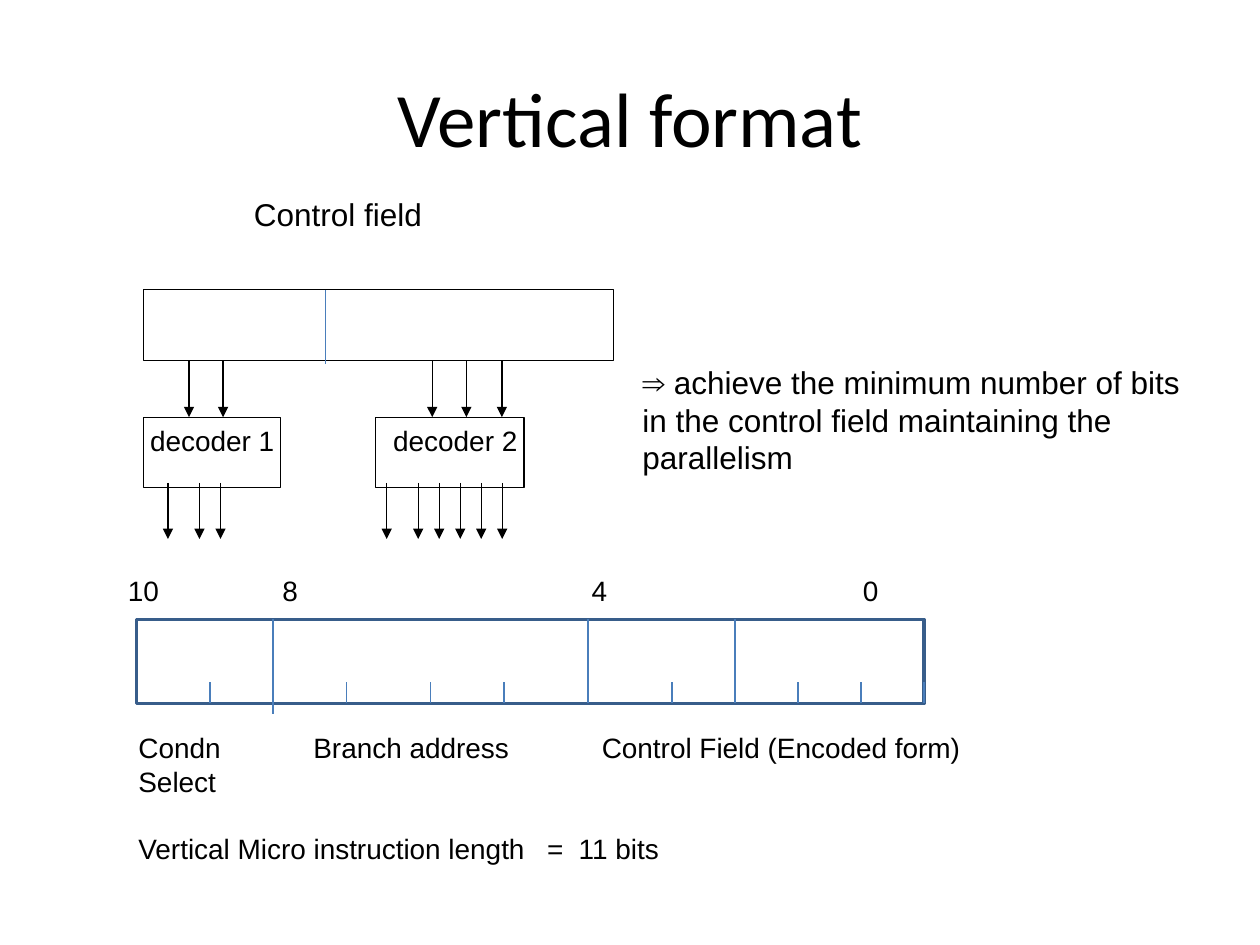
from lxml.etree import SubElement
from pptx import Presentation
from pptx.dml.color import RGBColor
from pptx.enum.shapes import MSO_CONNECTOR, MSO_SHAPE
from pptx.enum.text import MSO_ANCHOR, PP_ALIGN
from pptx.oxml.ns import qn
from pptx.util import Pt


def color(hex_string):
    return RGBColor.from_string(hex_string)


def add_line(x, top, bottom, line_color, arrow=False):
    connector = slide.shapes.add_connector(
        MSO_CONNECTOR.STRAIGHT, Pt(x), Pt(top), Pt(x), Pt(bottom))
    connector.line.color.rgb = color(line_color)
    connector.line.width = Pt(0.75)
    properties = connector._element.spPr
    if arrow:
        SubElement(properties.find(qn("a:ln")), qn("a:tailEnd"), type="triangle")
    SubElement(properties, qn("a:effectLst"))


BLACK, BLUE, DARK_BLUE = "000000", "4A7EBB", "385D8A"

presentation = Presentation()
presentation.slide_width, presentation.slide_height = Pt(720), Pt(540)
slide = presentation.slides.add_slide(presentation.slide_layouts[5])

title = slide.shapes.title
title.left, title.top, title.width, title.height = Pt(36), Pt(21.6), Pt(648), Pt(90)
title.text_frame.text = "Vertical format"
title.text_frame.vertical_anchor = MSO_ANCHOR.MIDDLE
paragraph = title.text_frame.paragraphs[0]
paragraph.alignment = PP_ALIGN.CENTER
paragraph.font.name, paragraph.font.size = "Calibri", Pt(44)
paragraph.font.color.rgb = color(BLACK)

for left, top, width, height, line_color, weight in [
    (82, 165.6, 268.5, 40.4, BLACK, 0.75),
    (82, 238.4, 78.5, 40.4, BLACK, 0.75),
    (214.5, 238.4, 85, 40.4, BLACK, 0.75),
    (78, 354, 450, 48, DARK_BLUE, 2),
]:
    shape = slide.shapes.add_shape(
        MSO_SHAPE.RECTANGLE, Pt(left), Pt(top), Pt(width), Pt(height))
    shape.shadow.inherit = False
    shape.fill.solid()
    shape.fill.fore_color.rgb = color("FFFFFF")
    shape.line.color.rgb = color(line_color)
    shape.line.width = Pt(weight)

for x in (108, 127.5, 247, 266.5, 286.8):
    add_line(x, 206, 238.4, BLACK, arrow=True)
for x in (96, 114, 126, 221, 239, 251, 263, 275, 287):
    add_line(x, 276, 308, BLACK, arrow=True)

add_line(186, 165.6, 208, BLUE)
add_line(156, 354, 408, BLUE)
for x in (336, 420):
    add_line(x, 354, 402, BLUE)
for x in (120, 198, 246, 288, 384, 456, 492, 528):
    add_line(x, 390, 402, BLUE)

LEFT, CENTER = PP_ALIGN.LEFT, PP_ALIGN.CENTER
for left, top, width, height, size, alignment, lines in [
    (360, 203.8, 327.6, 72, 18, LEFT,
     [("⇒ achieve the minimum number of bits in the control field "
       "maintaining the parallelism", (), 0)]),
    (138, 108, 190, 29, 18, LEFT, [("Control field", (), 0)]),
    (75.6, 238.4, 91.4, 26.6, 16, CENTER, [("decoder 1", (), 0)]),
    (214.5, 238.4, 91.4, 26.6, 16, CENTER, [("decoder 2", (), 0)]),
    (66, 324, 480, 26.6, 16, LEFT, [("10\t8\t4\t0", (88.3, 265, 420), 0)]),
    (72, 414, 624, 84, 16, LEFT, [
        ("Condn\tBranch address\tControl Field (Encoded form)", (100, 264.8), 0),
        ("Select", (), 0),
        ("Vertical Micro instruction length\t=\t11 bits", (233.5, 251.6), 19),
    ]),
]:
    text_box = slide.shapes.add_textbox(Pt(left), Pt(top), Pt(width), Pt(height))
    frame = text_box.text_frame
    frame.word_wrap = True
    frame.text = "\n".join(text for text, tabs, space in lines)
    for paragraph, (text, tabs, space) in zip(frame.paragraphs, lines):
        if tabs:
            tab_list = SubElement(paragraph._p.get_or_add_pPr(), qn("a:tabLst"))
            for position in tabs:
                SubElement(tab_list, qn("a:tab"), pos=str(Pt(position)), algn="l")
        if space:
            paragraph.space_before = Pt(space)
        paragraph.alignment = alignment
        paragraph.font.name, paragraph.font.size = "Arial", Pt(size)
        paragraph.font.color.rgb = color(BLACK)

presentation.save("out.pptx")
